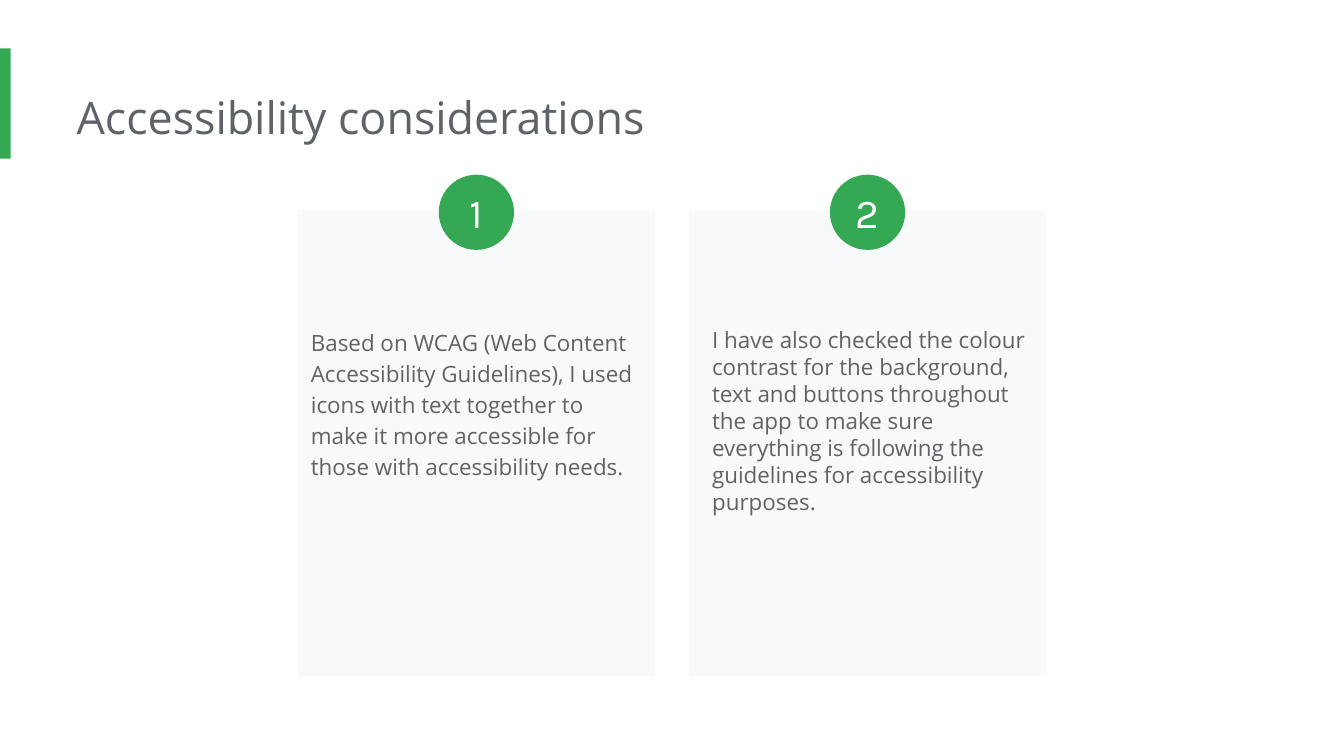
from pptx import Presentation
from pptx.dml.color import RGBColor
from pptx.enum.shapes import MSO_SHAPE
from pptx.enum.text import MSO_ANCHOR, MSO_AUTO_SIZE, PP_ALIGN
from pptx.util import Inches, Pt

RECTANGLE, OVAL = MSO_SHAPE.RECTANGLE, MSO_SHAPE.OVAL
TOP, MIDDLE = MSO_ANCHOR.TOP, MSO_ANCHOR.MIDDLE
LEFT, CENTER = PP_ALIGN.LEFT, PP_ALIGN.CENTER

# Content
TITLE = "Accessibility considerations"
WCAG_NOTE = (
    "Based on WCAG (Web Content Accessibility Guidelines), I used icons with "
    "text together to make it more accessible for those with accessibility needs."
)
CONTRAST_NOTE = (
    "I have also checked the colour contrast for the background, text and "
    "buttons throughout the app to make sure everything is following the "
    "guidelines for accessibility purposes."
)

# Theme
THEME = {
    "green": RGBColor(0x34, 0xA8, 0x53),
    "card": RGBColor(0xF8, 0xF9, 0xFA),
    "title": {"name": "Open Sans", "size": Pt(24), "color": RGBColor(0x5F, 0x63, 0x68)},
    "body": {"name": "Open Sans", "size": Pt(12), "color": RGBColor(0x5F, 0x63, 0x68)},
    "number": {"name": "Karla", "size": Pt(22), "color": RGBColor(0xFF, 0xFF, 0xFF)},
}

# Grid, in inches, on a 16:9 page
PAGE_WIDTH = 10
PAGE_HEIGHT = PAGE_WIDTH * 9 / 16
CARD_WIDTH, CARD_HEIGHT, CARD_GAP = 2.66, 3.47, 0.25
CARD_TOP = 1.56
CARD_STEP = CARD_WIDTH + CARD_GAP
CARD_LEFT = (PAGE_WIDTH - CARD_STEP - CARD_WIDTH) / 2
BADGE_TOP, BADGE_SIZE = 1.3, 0.56
NOTE_INSET = 0.86
PADDING = 0.1


def add_block(page, kind, place, color):
    block = page.shapes.add_shape(kind, *map(Inches, place))
    block.shadow.inherit = False
    block.fill.solid()
    block.fill.fore_color.rgb = color
    block.line.fill.background()
    return block


def write(box, text, style, insets, anchor=TOP, align=LEFT, spacing=1.0):
    frame = box.text_frame
    frame.word_wrap = True
    frame.auto_size = MSO_AUTO_SIZE.NONE
    frame.vertical_anchor = anchor
    for side, inset in zip(("left", "top", "right", "bottom"), insets):
        setattr(frame, f"margin_{side}", Inches(inset))
    para = frame.paragraphs[0]
    para.alignment = align
    para.line_spacing = spacing
    span = para.add_run()
    span.text = text
    for name, value in THEME[style].items():
        if name == "color":
            span.font.color.rgb = value
        else:
            setattr(span.font, name, value)


deck = Presentation()
deck.slide_width, deck.slide_height = Inches(PAGE_WIDTH), Inches(PAGE_HEIGHT)
page = deck.slides.add_slide(deck.slide_layouts[5])

# Title and accent bar
add_block(page, RECTANGLE, (0, 0.36, 0.08, 0.82), THEME["green"])
title = page.shapes.title
title.left, title.top, title.width, title.height = map(Inches, (0.57, 0.57, 7.66, 0.61))
write(title, TITLE, "title", (0, PADDING, PADDING, PADDING))

# Cards
card_lefts = [CARD_LEFT + column * CARD_STEP for column in range(2)]
cards = [
    add_block(page, RECTANGLE, (left, CARD_TOP, CARD_WIDTH, CARD_HEIGHT), THEME["card"])
    for left in card_lefts
]

# Numbered badges, centred on the cards
for number, left in enumerate(card_lefts, 1):
    badge_left = left + (CARD_WIDTH - BADGE_SIZE) / 2
    badge = add_block(
        page, OVAL, (badge_left, BADGE_TOP, BADGE_SIZE, BADGE_SIZE), THEME["green"]
    )
    write(badge, str(number), "number", (0, 0, 0, 0), MIDDLE, CENTER)

# Notes
write(cards[0], WCAG_NOTE, "body", (PADDING, NOTE_INSET, PADDING, PADDING), spacing=1.15)
contrast_box = page.shapes.add_textbox(*map(Inches, (5.2, 2.33, 2.59, 1.62)))
write(contrast_box, CONTRAST_NOTE, "body", (PADDING,) * 4)

deck.save("out.pptx")
